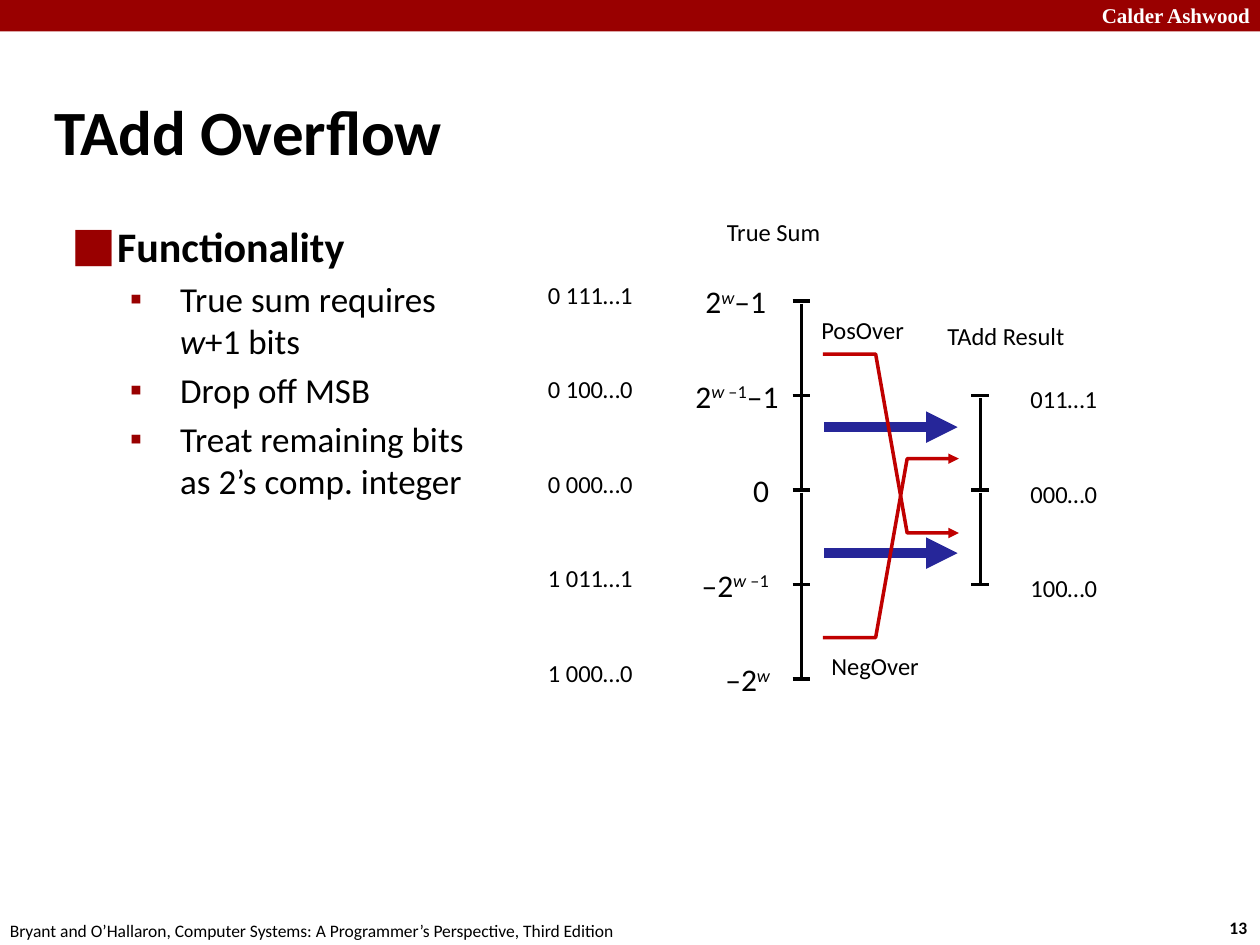
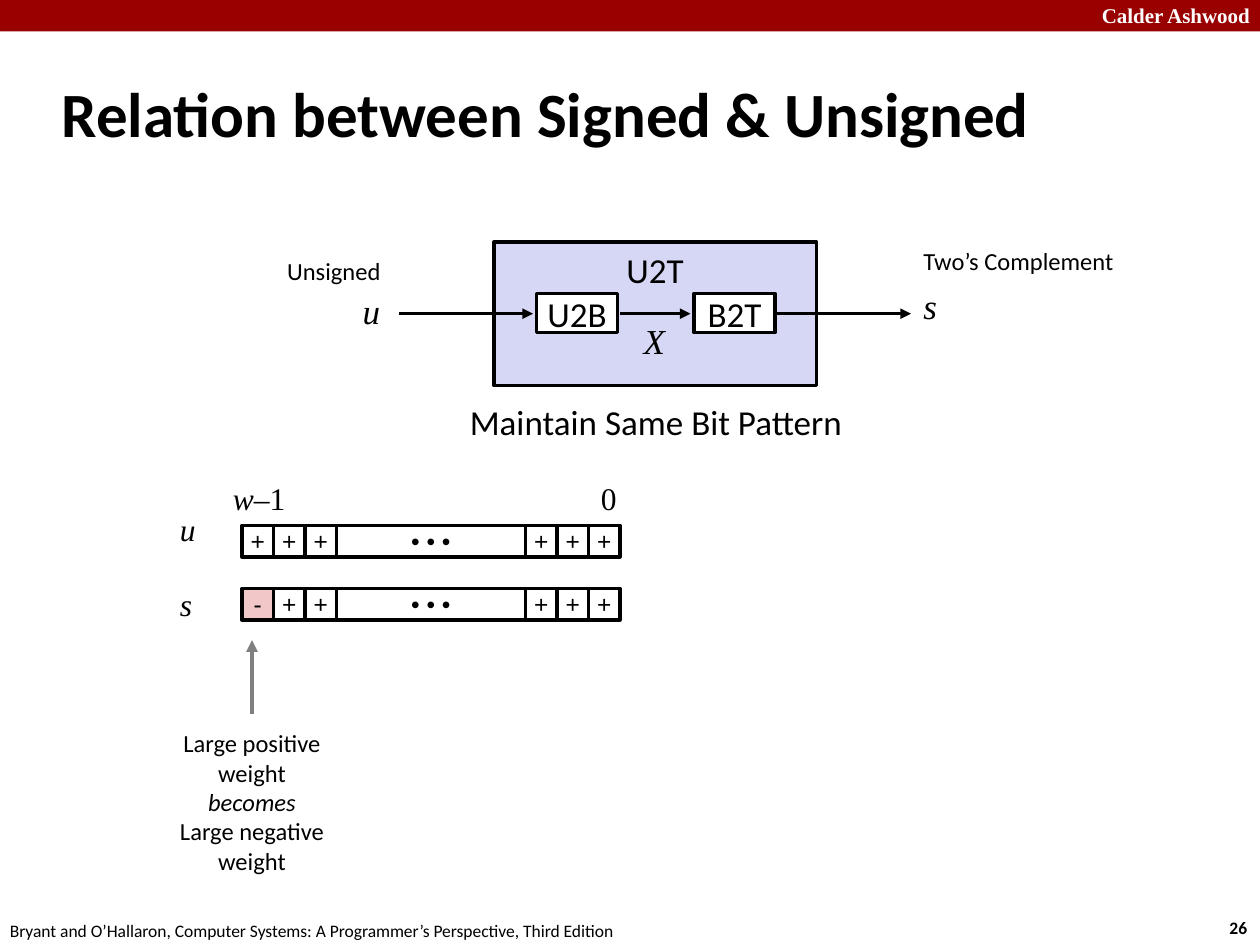
from dataclasses import dataclass
from typing import Any

from lxml.etree import SubElement
from pptx import Presentation
from pptx.dml.color import RGBColor
from pptx.enum.shapes import MSO_CONNECTOR, MSO_SHAPE
from pptx.enum.text import MSO_ANCHOR, MSO_AUTO_SIZE, PP_ALIGN
from pptx.oxml.ns import qn
from pptx.util import Inches, Pt

COLORS = {
    "black": "000000", "white": "FFFFFF", "band": "990000", "gray": "808080",
    "direct": "262699", "overflow": "C00000", "unit": "D6D6F5", "sign": "F1C7C7",
}
SANS, SERIF, CELL_FONT = "Calibri", "Times New Roman", "Arial"
LEFT, CENTER, RIGHT = PP_ALIGN.LEFT, PP_ALIGN.CENTER, PP_ALIGN.RIGHT
ROW_GAP = 0.75  # distance between two marks on a number axis


@dataclass(frozen=True)
class Run:
    text: str
    italic: bool = False
    raised: bool = False


@dataclass(frozen=True)
class Label:
    """A text box: each line is a tuple of runs."""
    lines: tuple[tuple[Run, ...], ...]
    x: float
    y: float
    w: float
    h: float
    size: float = 14
    font: str = SANS
    color: str = "black"
    bold: bool = False
    align: PP_ALIGN = LEFT


@dataclass(frozen=True)
class Box:
    text: str
    x: float
    y: float
    w: float
    h: float
    size: float = 20
    font: str = SANS
    fill: str = "white"
    anchor: MSO_ANCHOR = MSO_ANCHOR.MIDDLE


@dataclass(frozen=True)
class Line:
    x1: float
    y1: float
    x2: float
    y2: float
    color: str = "black"
    width: float = 2
    arrow: bool = False


@dataclass(frozen=True)
class Bullet:
    runs: tuple[Run, ...]
    level: int = 0


@dataclass(frozen=True)
class BulletStyle:
    char: str
    margin: float
    indent: float
    size: float
    before: float
    bold: bool


BULLET_STYLES = (
    BulletStyle("⬛", 0.5, -0.35, 24, 4.8, True),
    BulletStyle("▪", 1, -0.4, 20, 4, False),
)


# Shared helpers
def rgb(name: str) -> RGBColor:
    return RGBColor.from_string(COLORS[name])


def set_format(obj: Any, values: dict[str, Any]) -> None:
    for name, value in values.items():
        setattr(obj, name, value)


def place(sp: Any, x: float, y: float, w: float, h: float) -> None:
    set_format(sp, {"left": Inches(x), "top": Inches(y),
                    "width": Inches(w), "height": Inches(h)})


def write_runs(p: Any, runs: tuple[Run, ...], size: float, font: str = SANS,
               color: str = "black", bold: bool = False) -> None:
    for run in runs:
        r = p.add_run()
        r.text = run.text
        set_format(r.font, {"name": font, "size": Pt(size), "bold": bold,
                            "italic": run.italic})
        r.font.color.rgb = rgb(color)
        if run.raised:
            r._r.get_or_add_rPr().set("baseline", "30000")


def add_arrowhead(sp: Any) -> None:
    SubElement(sp._element.spPr.find(qn("a:ln")), qn("a:tailEnd"), type="triangle")


def add_label(s: Any, label: Label) -> None:
    sp = s.shapes.add_textbox(*map(Inches, (label.x, label.y, label.w, label.h)))
    tf = sp.text_frame
    set_format(tf, {"word_wrap": False, "auto_size": MSO_AUTO_SIZE.SHAPE_TO_FIT_TEXT})
    for i, runs in enumerate(label.lines):
        p = tf.add_paragraph() if i else tf.paragraphs[0]
        p.alignment = label.align
        write_runs(p, runs, label.size, label.font, label.color, label.bold)


def text_label(s: Any, text: str, x: float, y: float, w: float, h: float,
               italic: bool = False, **style: Any) -> None:
    add_label(s, Label(((Run(text, italic),),), x, y, w, h, **style))


def add_box(parent: Any, box: Box) -> None:
    sp = parent.shapes.add_shape(MSO_SHAPE.RECTANGLE,
                                 *map(Inches, (box.x, box.y, box.w, box.h)))
    sp.shadow.inherit = False
    sp.fill.solid()
    sp.fill.fore_color.rgb = rgb(box.fill)
    sp.line.color.rgb = rgb("black")
    sp.line.width = Pt(2)
    set_format(sp.text_frame, {"word_wrap": False, "vertical_anchor": box.anchor})
    p = sp.text_frame.paragraphs[0]
    p.alignment = CENTER
    write_runs(p, (Run(box.text),), box.size, box.font)


def add_line(s: Any, line: Line) -> None:
    c = s.shapes.add_connector(MSO_CONNECTOR.STRAIGHT,
                               *map(Inches, (line.x1, line.y1, line.x2, line.y2)))
    c.line.color.rgb = rgb(line.color)
    c.line.width = Pt(line.width)
    if line.arrow:
        add_arrowhead(c)
    SubElement(c._element.spPr, qn("a:effectLst"))


def add_bent_arrow(s: Any, points: list[tuple[float, float]]) -> None:
    start, *rest = [(Inches(x), Inches(y)) for x, y in points]
    builder = s.shapes.build_freeform(*start)
    builder.add_line_segments(rest, close=False)
    sp = builder.convert_to_shape()
    sp.shadow.inherit = False
    sp.fill.background()
    sp.line.color.rgb = rgb("overflow")
    sp.line.width = Pt(2)
    add_arrowhead(sp)


def add_axis(s: Any, x: float, top: float, steps: int) -> None:
    """Vertical number axis: two halves that meet at zero, with tick marks."""
    half = steps * ROW_GAP / 2
    for start in (top, top + half):
        add_line(s, Line(x, start + 0.02, x, start + half - 0.01))
    for i in range(steps + 1):
        y = top + i * ROW_GAP
        add_line(s, Line(x - 0.07, y, x + 0.07, y))


def add_bullets(tf: Any, bullets: list[Bullet]) -> None:
    for i, bullet in enumerate(bullets):
        style = BULLET_STYLES[bullet.level]
        p = tf.add_paragraph() if i else tf.paragraphs[0]
        set_format(p, {"level": bullet.level, "space_before": Pt(style.before)})
        pPr = p._p.get_or_add_pPr()
        pPr.set("marL", str(Inches(style.margin)))
        pPr.set("indent", str(Inches(style.indent)))
        SubElement(SubElement(pPr, qn("a:buClr")), qn("a:srgbClr"), val=COLORS["band"])
        SubElement(pPr, qn("a:buChar"), char=style.char)
        write_runs(p, bullet.runs, style.size, bold=style.bold)


def start_slide(prs: Any, layout: int, title: str, number: int,
                title_at: tuple[float, float, float, float]) -> Any:
    """Slide with top band, footer, page number and title."""
    s = prs.slides.add_slide(prs.slide_layouts[layout])
    band = s.shapes.add_shape(MSO_SHAPE.RECTANGLE, 0, 0, prs.slide_width, Inches(0.25))
    band.shadow.inherit = False
    band.fill.solid()
    band.fill.fore_color.rgb = rgb("band")
    band.line.fill.background()
    text_label(s, "Calder Ashwood", 8.64, -0.03, 1.38, 0.3, size=12, font=SERIF,
               color="white", bold=True, align=RIGHT)
    text_label(s, str(number), 9.66, 7.23, 0.37, 0.27, size=10, bold=True)
    text_label(s, "Bryant and O’Hallaron, Computer Systems: A Programmer’s Perspective, "
               "Third Edition", -0.02, 7.25, 5.08, 0.27, size=10)
    place(s.shapes.title, *title_at)
    tf = s.shapes.title.text_frame
    set_format(tf, {"vertical_anchor": MSO_ANCHOR.MIDDLE, "word_wrap": True,
                    "auto_size": MSO_AUTO_SIZE.NONE})
    tf.paragraphs[0].alignment = LEFT
    write_runs(tf.paragraphs[0], (Run(title),), 36, bold=True)
    return s


def overflow_slide(prs: Any) -> None:
    s = start_slide(prs, 1, "TAdd Overflow", 13, (0.33, 0.73, 7.39, 0.61))
    body = s.placeholders[1]
    place(body, 0.33, 1.7, 3.62, 5.71)
    body.text_frame.auto_size = MSO_AUTO_SIZE.NONE
    add_bullets(body.text_frame, [
        Bullet((Run("Functionality"),)),
        Bullet((Run("True sum requires "), Run("w", True), Run("+1 bits")), 1),
        Bullet((Run("Drop off MSB"),), 1),
        Bullet((Run("Treat remaining bits as 2’s comp. integer"),), 1),
    ])

    # Number axes with their bit patterns
    add_axis(s, 6.36, 2.39, 4)
    add_axis(s, 7.78, 3.14, 2)
    for i, bits in enumerate(("0 111…1", "0 100…0", "0 000…0", "1 011…1", "1 000…0")):
        text_label(s, bits, 4.25, 2.17 + i * ROW_GAP, 0.88, 0.33)
    for i, bits in enumerate(("011…1", "000…0", "100…0")):
        text_label(s, bits, 8.08, 3 + i * ROW_GAP, 0.73, 0.33)

    # Values beside the true sum axis
    w, w_space = Run("w", True, True), Run("w ", True, True)
    minus_one = Run("–1", raised=True)
    values = (
        ((Run("2"), w, Run("–1")), 5.5, 0.7, LEFT),
        ((Run("2"), w_space, minus_one, Run("–1")), 5.42, 1.03, LEFT),
        ((Run("0"),), 5.88, 0.33, LEFT),
        ((Run("–2"), w_space, minus_one), 5.42, 0.78, RIGHT),
        ((Run("–2"), w), 5.63, 0.58, RIGHT),
    )
    for i, (runs, x, width, align) in enumerate(values):
        add_label(s, Label((runs,), x, 2.19 + i * ROW_GAP, width, 0.4, 18, align=align))

    # Arrows from true sum to result
    for y in (3.39, 4.39):
        add_line(s, Line(6.54, y, 7.6, y, "direct", 6, True))
    for y1, y2 in ((2.81, 4.23), (5.06, 3.64)):
        add_bent_arrow(s, [(6.53, y1), (6.95, y1), (7.2, y2), (7.61, y2)])
    text_label(s, "True Sum", 5.67, 1.67, 1.51, 0.5)
    text_label(s, "TAdd Result", 7.42, 2.5, 1.85, 0.5)
    text_label(s, "PosOver", 6.42, 2.45, 0.86, 0.34)
    text_label(s, "NegOver", 6.5, 5.12, 0.9, 0.34)


def add_bit_row(s: Any, y: float, top_sign: str, top_fill: str) -> None:
    """Three bits, a wide gap cell and three more bits."""
    group, x = s.shapes.add_group_shape(), 1.92
    for i, text in enumerate((top_sign, "+", "+", "• • •", "+", "+", "+")):
        width = 1.5 if i == 3 else 0.25
        fill = "white" if i else top_fill
        add_box(group, Box(text, x, y, width, 0.25, 14, CELL_FONT, fill))
        x += width


def relation_slide(prs: Any) -> None:
    s = start_slide(prs, 5, "Relation between Signed & Unsigned", 26,
                    (0.39, 0.48, 8.3, 0.83))

    # Conversion from unsigned to signed
    add_box(s, Box("U2T", 3.92, 1.92, 2.56, 1.14, fill="unit", anchor=MSO_ANCHOR.TOP))
    for text, x in (("U2B", 4.26), ("B2T", 5.51)):
        add_box(s, Box(text, x, 2.33, 0.64, 0.31))
    for x1, x2 in ((3.17, 4.23), (4.92, 5.48), (6.17, 7.23)):
        add_line(s, Line(x1, 2.49, x2, 2.49, arrow=True))
    text_label(s, "Unsigned", 2.18, 1.98, 1.51, 0.5)
    text_label(s, "Two’s Complement", 7.23, 1.9, 2.87, 0.5)
    text_label(s, "Maintain Same Bit Pattern", 3.63, 3.13, 3.19, 0.43, size=20)
    for name, x, y, width in (("u", 2.78, 2.25, 0.34), ("X", 5.01, 2.49, 0.37),
                              ("s", 7.23, 2.21, 0.31)):
        text_label(s, name, x, y, width, 0.43, True, size=20, font=SERIF)

    # Bit weights
    add_bit_row(s, 4.17, "+", "white")
    add_bit_row(s, 4.67, "-", "sign")
    for name, y in (("u", 4), ("s", 4.59)):
        text_label(s, name, 1.33, y, 0.33, 0.4, True, size=18, font=SERIF)
    add_label(s, Label(((Run("w", True), Run("–1")),), 1.75, 3.75, 0.62, 0.4, 18, SERIF))
    text_label(s, "0", 4.67, 3.75, 0.33, 0.4, size=18, font=SERIF)
    add_line(s, Line(2, 5.67, 2, 5.08, "gray", 2.25, True))
    add_label(s, Label(((Run("Large positive weight"),), (Run("becomes", True),),
                        (Run("Large negative weight"),)),
                       1.07, 5.73, 1.86, 0.81, align=CENTER))


def main() -> None:
    prs = Presentation()
    prs.slide_width, prs.slide_height = Inches(10), Inches(7.5)
    overflow_slide(prs)
    relation_slide(prs)
    prs.save("out.pptx")


if __name__ == "__main__":
    main()
